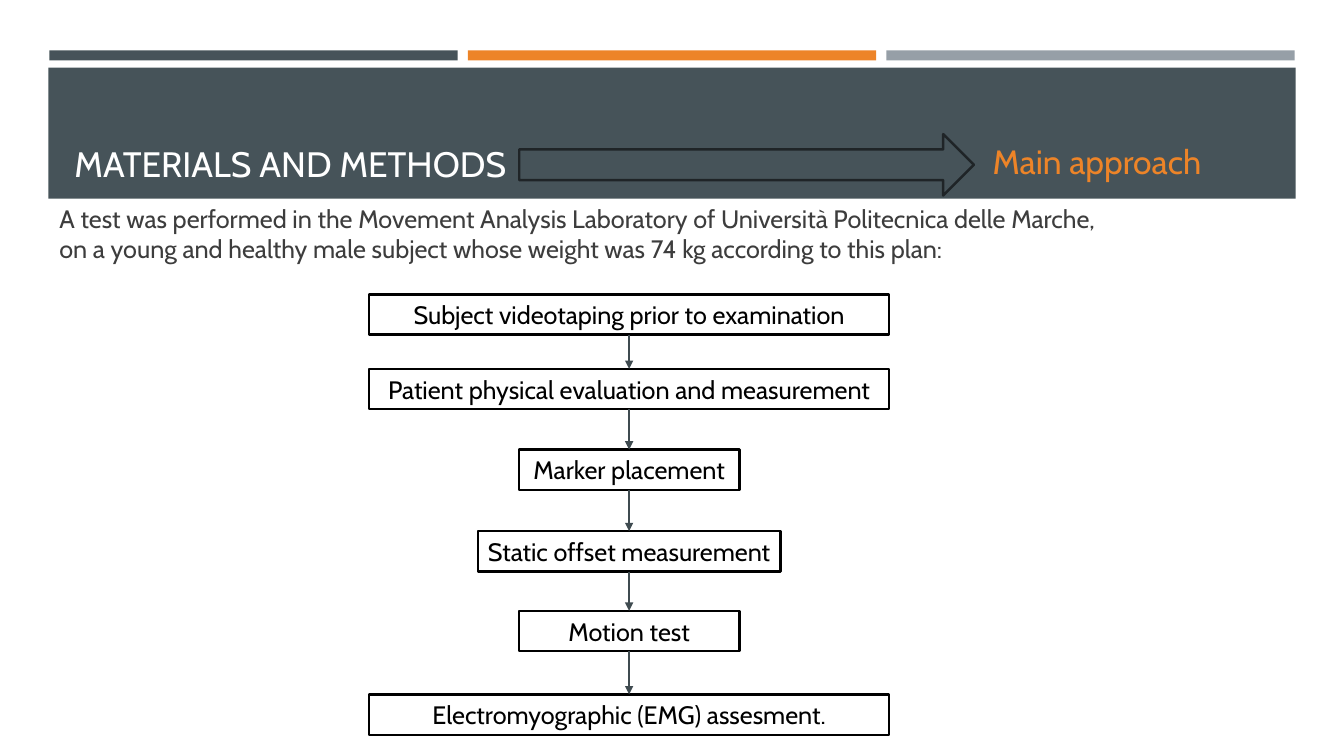
"""Build the Materials and Methods slide with its test plan flowchart."""
import pptx
import pptx.dml.color
import pptx.enum.shapes
import pptx.enum.text
import pptx.oxml
import pptx.oxml.ns
import pptx.util

Inches = pptx.util.Inches
Pt = pptx.util.Pt
SHAPE = pptx.enum.shapes.MSO_SHAPE
ALIGN = pptx.enum.text.PP_ALIGN
ANCHOR = pptx.enum.text.MSO_ANCHOR

FONT = "Cabin"
SLATE, ORANGE, GREY = "465359", "ED8428", "969FA7"
WHITE, BLACK, BODY = "FFFFFF", "000000", "3D3D3D"
ARROW_EDGE, LINK = "1F2427", "3F4B50"

TITLE = "MATERIALS AND METHODS"
APPROACH = "Main approach"
INTRO = [
    "A test was performed in the Movement Analysis Laboratory of Università Politecnica delle Marche,",
    "on a young and healthy male subject whose weight was 74 kg according to this plan:",
]
STRIPES = [SLATE, ORANGE, GREY]
STEPS = [
    ("Subject videotaping prior to examination", 2.92, 5.16),
    ("Patient physical evaluation and measurement", 3.66, 5.16),
    ("Marker placement", 4.46, 2.19),
    ("Static offset measurement", 5.27, 3),
    ("Motion test", 6.06, 2.19),
    ("Electromyographic (EMG) assesment.", 6.89, 5.16),
]
STEP_CENTER, STEP_HEIGHT = 6.24, 0.4
STRIPE_LEFT, STRIPE_WIDTH, STRIPE_PITCH = 0.49, 4.05, 4.15


def rgb(color):
    return pptx.dml.color.RGBColor.from_string(color)


def add_block(s, kind, box, fill, line=None):
    sp = s.shapes.add_shape(kind, *map(Inches, box))
    sp.shadow.inherit = False
    sp.fill.solid()
    sp.fill.fore_color.rgb = rgb(fill)
    if line:
        sp.line.color.rgb = rgb(line)
        sp.line.width = Pt(1.75)
    else:
        sp.line.fill.background()
    return sp


def write(sp, lines, size, color, align, anchor=ANCHOR.TOP):
    tf = sp.text_frame
    tf.word_wrap = True
    tf.vertical_anchor = anchor
    for i, line in enumerate(lines):
        p = tf.paragraphs[0] if i == 0 else tf.add_paragraph()
        p.alignment = align
        r = p.add_run()
        r.text = line
        r.font.name = FONT
        r.font.size = Pt(size)
        r.font.color.rgb = rgb(color)


def add_text(s, box, *style):
    write(s.shapes.add_textbox(*map(Inches, box)), *style)


def add_link(s, x, top, bottom):
    cn = s.shapes.add_connector(
        pptx.enum.shapes.MSO_CONNECTOR.STRAIGHT,
        Inches(x), Inches(top), Inches(x), Inches(bottom))
    cn.line.color.rgb = rgb(LINK)
    cn.line.width = Pt(1)
    ln = cn.line._get_or_add_ln()
    ln.append(pptx.oxml.parse_xml(
        '<a:tailEnd %s type="triangle"/>' % pptx.oxml.ns.nsdecls("a")))
    ln.addnext(pptx.oxml.parse_xml(
        "<a:effectLst %s/>" % pptx.oxml.ns.nsdecls("a")))


def main():
    prs = pptx.Presentation()
    prs.slide_width, prs.slide_height = Inches(13.33), Inches(7.5)
    s = prs.slides.add_slide(prs.slide_layouts[6])

    for i, color in enumerate(STRIPES):
        left = STRIPE_LEFT + i * STRIPE_PITCH
        add_block(s, SHAPE.RECTANGLE, (left, 0.5, STRIPE_WIDTH, 0.1), color)
    add_block(s, SHAPE.RECTANGLE, (0.48, 0.67, 12.37, 1.3), SLATE)

    add_text(s, (0.64, 1.36, 4.6, 0.52), [TITLE], 25.2, WHITE, ALIGN.LEFT, ANCHOR.BOTTOM)
    add_text(s, (0.49, 1.97, 11.87, 0.71), INTRO, 18, BODY, ALIGN.JUSTIFY)

    for text, top, width in STEPS:
        box = (STEP_CENTER - width / 2, top, width, STEP_HEIGHT)
        sp = add_block(s, SHAPE.RECTANGLE, box, WHITE, BLACK)
        sp.text_frame.margin_left = sp.text_frame.margin_right = Inches(0.05)
        write(sp, [text], 18, BLACK, ALIGN.CENTER, ANCHOR.MIDDLE)
    for (_, top, _), (_, next_top, _) in zip(STEPS, STEPS[1:]):
        add_link(s, STEP_CENTER, top + STEP_HEIGHT, next_top)

    add_text(s, (9.55, 1.35, 2.66, 0.5), [APPROACH], 24, ORANGE, ALIGN.CENTER)
    add_block(s, SHAPE.RIGHT_ARROW, (5.15, 1.33, 4.51, 0.61), SLATE, ARROW_EDGE)

    prs.save("out.pptx")


if __name__ == "__main__":
    main()
